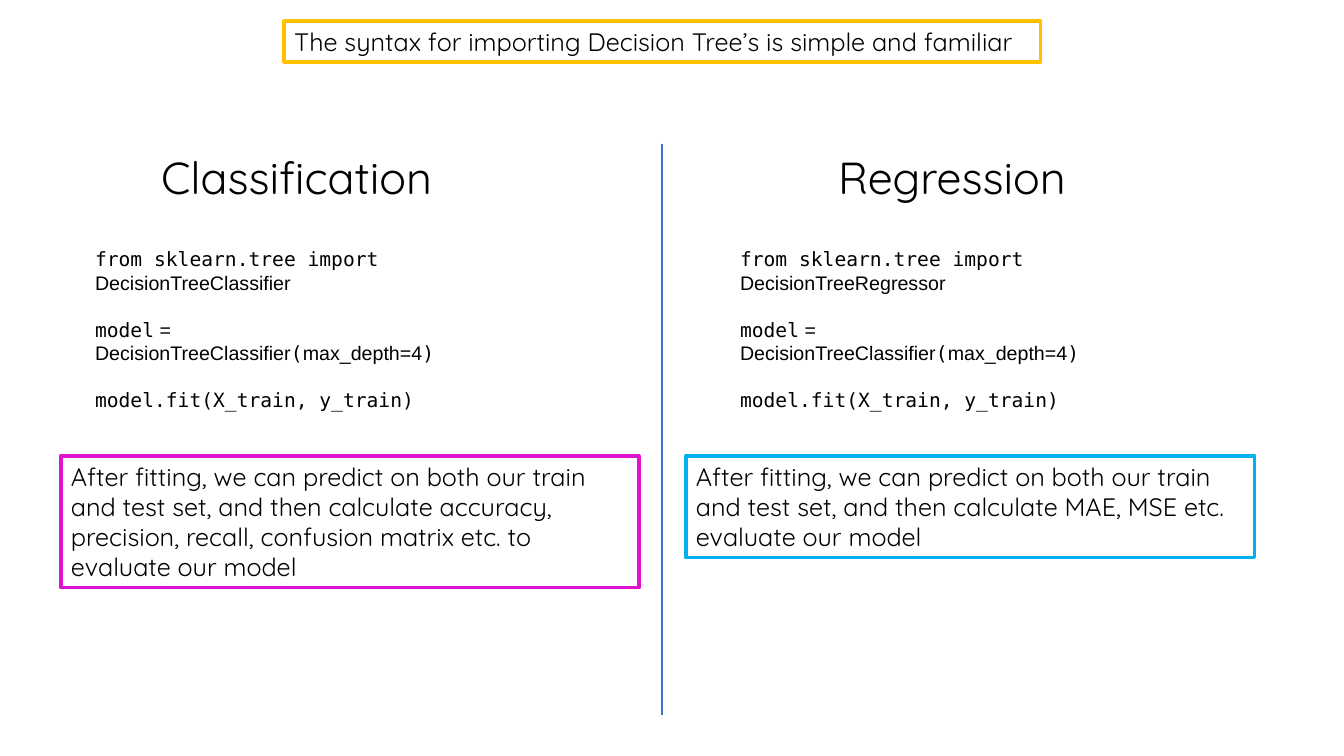
from lxml.etree import SubElement
from pptx import Presentation
from pptx.dml.color import RGBColor
from pptx.enum.shapes import MSO_CONNECTOR, MSO_SHAPE
from pptx.enum.text import MSO_ANCHOR, MSO_AUTO_SIZE, PP_ALIGN
from pptx.oxml.ns import qn
from pptx.util import Emu, Pt

EMU_PER_PX = 914400 / 100.8
COLORS = {
    "text": "000000",
    "title": "FFC000",
    "classification": "DE12CF",
    "regression": "00B0F0",
    "divider": "4472C4",
}
PROSE, MONO, SANS = "Quicksand", "DejaVu Sans Mono", "Arial"
COMPARISON_LAYOUT = 4

FRAME = {
    "word_wrap": True,
    "auto_size": MSO_AUTO_SIZE.NONE,
    "vertical_anchor": MSO_ANCHOR.TOP,
    "margin_left": Pt(7.2),
    "margin_right": Pt(7.2),
    "margin_top": Pt(3.6),
    "margin_bottom": Pt(3.6),
}
PARAGRAPH = {
    "alignment": PP_ALIGN.LEFT,
    "line_spacing": 1.0,
    "space_before": Pt(0),
    "space_after": Pt(0),
}

# Heading and code boxes are relative to their column: left, top, width, height.
COLUMNS = [
    {
        "name": "classification",
        "left": 61,
        "heading": ("Classification", (90, 0, 303, 73)),
        "code_box": (24, 114, 436, 129),
        "estimator": "DecisionTreeClassifier",
        "note_box": (0, 305, 578, 132),
        "note": "After fitting, we can predict on both our train and test set, and "
                "then calculate accuracy, precision, recall, confusion matrix etc. "
                "to evaluate our model",
        "placeholders": (1, 2),
    },
    {
        "name": "regression",
        "left": 686,
        "heading": ("Regression", (142, 0, 251, 73)),
        "code_box": (44, 114, 446, 129),
        "estimator": "DecisionTreeRegressor",
        "note_box": (0, 305, 569, 102),
        "note": "After fitting, we can predict on both our train and test set, and "
                "then calculate MAE, MSE etc. evaluate our model",
        "placeholders": (3, 4),
    },
]


def px(length):
    return Emu(round(length * EMU_PER_PX))


def color(name):
    return RGBColor.from_string(COLORS[name])


def apply(target, values):
    for name, value in values.items():
        setattr(target, name, value)


def place(shape, box):
    apply(shape, dict(zip(("left", "top", "width", "height"), map(px, box))))


def outline(shape, color_name):
    shape.fill.background()
    shape.line.color.rgb = color(color_name)
    shape.line.width = Pt(2.25)


def write(shape, paragraphs, size, frame=None, spacing=None):
    """Fill a shape with paragraphs, each a list of (text, font name) runs."""
    text_frame = shape.text_frame
    apply(text_frame, FRAME | (frame or {}))
    for index, runs in enumerate(paragraphs):
        paragraph = text_frame.add_paragraph() if index else text_frame.paragraphs[0]
        apply(paragraph, PARAGRAPH | ((spacing or {}) if index or len(paragraphs) == 1 else {}))
        properties = paragraph._p.get_or_add_pPr()
        properties.set("marL", "0")
        properties.set("indent", "0")
        SubElement(properties, qn("a:buNone"))
        for text, font_name in runs:
            run = paragraph.add_run()
            run.text = text
            apply(run.font, {"name": font_name, "size": Pt(size), "bold": False})
            run.font.color.rgb = color("text")


def add_title(slide, box):
    title = slide.shapes.title
    place(title, box)
    outline(title, "title")
    text = "The syntax for importing Decision Tree’s is simple and familiar"
    write(title, [[(text, PROSE)]], 18)


def add_divider(slide, x, top, bottom):
    divider = slide.shapes.add_connector(
        MSO_CONNECTOR.STRAIGHT, px(x), px(top), px(x), px(bottom))
    divider.line.color.rgb = color("divider")
    divider.line.width = Pt(1.5)
    SubElement(divider._element.spPr, qn("a:effectLst"))


def add_column(slide, column, top):
    """Place a heading, a code sample and an outlined note."""
    def within(box):
        return (column["left"] + box[0], top + box[1], *box[2:])

    heading, code = (slide.placeholders[index] for index in column["placeholders"])
    heading_text, heading_box = column["heading"]
    place(heading, within(heading_box))
    write(heading, [[(heading_text, PROSE)]], 32, spacing={"line_spacing": 0.9})

    place(code, within(column["code_box"]))
    lines = [
        [("from sklearn.tree import ", MONO), (column["estimator"], SANS)],
        [("model", MONO), (" = DecisionTreeClassifier", SANS), ("(", MONO),
         ("max_depth=4", SANS), (")", MONO)],
        [("model.fit(X_train, y_train)", MONO)],
    ]
    write(code, lines, 14,
          frame={"vertical_anchor": MSO_ANCHOR.MIDDLE, "margin_right": px(20)},
          spacing={"space_before": Pt(16.8)})

    note = slide.shapes.add_shape(
        MSO_SHAPE.RECTANGLE, *map(px, within(column["note_box"])))
    note.shadow.inherit = False
    outline(note, column["name"])
    write(note, [[(column["note"], PROSE)]], 18)


def main():
    presentation = Presentation()
    apply(presentation, {"slide_width": px(1344), "slide_height": px(756)})
    slide = presentation.slides.add_slide(presentation.slide_layouts[COMPARISON_LAYOUT])
    add_title(slide, (284, 21, 757, 41))
    add_divider(slide, 662, 144, 715)
    for column in COLUMNS:
        add_column(slide, column, 151)
    presentation.save("out.pptx")


if __name__ == "__main__":
    main()
